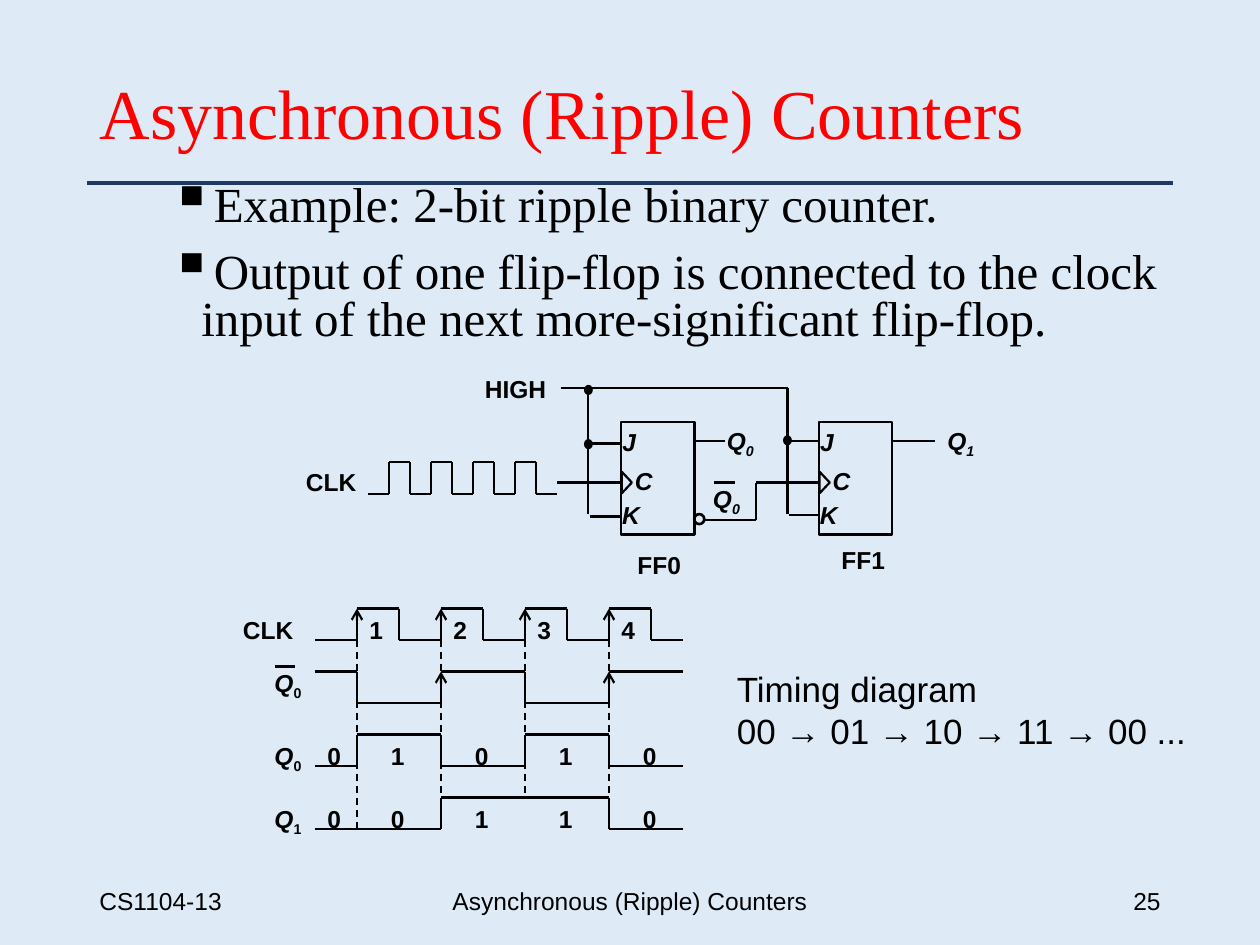
from itertools import groupby, pairwise

from lxml.etree import SubElement
from pptx import Presentation
from pptx.dml.color import RGBColor
from pptx.enum.dml import MSO_LINE
from pptx.enum.shapes import MSO_CONNECTOR, MSO_SHAPE
from pptx.enum.text import MSO_ANCHOR, MSO_AUTO_SIZE, PP_ALIGN
from pptx.oxml.ns import qn
from pptx.util import Inches, Pt

COLORS = {"background": "DEEBF7", "title": "FF0000", "rule": "203864", "ink": "000000"}
SANS, SERIF = "Arial", "Times New Roman"


def color(name):
    return RGBColor.from_string(COLORS[name])


def add_run(paragraph, text, size=14, font=SANS, ink="ink", bold=False, italic=False):
    run = paragraph.add_run()
    run.text = text
    run.font.size, run.font.name = Pt(size), font
    run.font.bold, run.font.italic = bold, italic
    run.font.color.rgb = color(ink)
    return run


def add_box(shapes, left, top, width, height, wrap=True):
    box = shapes.add_textbox(Inches(left), Inches(top), Inches(width), Inches(height))
    box.text_frame.word_wrap = wrap
    return box


def add_label(shapes, left, top, width, text, italic=False, subscript="", slanted=True, wrap=False):
    frame = add_box(shapes, left, top, width, 0.33, wrap).text_frame
    frame.auto_size = MSO_AUTO_SIZE.SHAPE_TO_FIT_TEXT
    paragraph = frame.paragraphs[0]
    add_run(paragraph, text, bold=True, italic=italic)
    if subscript:
        run = add_run(paragraph, subscript, bold=True, italic=slanted)
        run._r.get_or_add_rPr().set("baseline", "-25000")


def add_line(shapes, start, end, width=1.25, ink="ink", dashed=False, arrow=False):
    line = shapes.add_connector(MSO_CONNECTOR.STRAIGHT, *map(Inches, (*start, *end)))
    line.line.width = Pt(width)
    line.line.color.rgb = color(ink)
    if dashed:
        line.line.dash_style = MSO_LINE.DASH
    if arrow:
        SubElement(line.line._get_or_add_ln(), qn("a:tailEnd"), type="arrow")
    SubElement(line._element.spPr, qn("a:effectLst"))


def add_wire(shapes, *points):
    for start, end in pairwise(points):
        add_line(shapes, start, end)


def add_outline(shapes, kind, left, top, width, height, weight, filled=False):
    shape = shapes.add_shape(kind, *map(Inches, (left, top, width, height)))
    shape.shadow.inherit = False
    if filled:
        shape.fill.solid()
        shape.fill.fore_color.rgb = color("ink")
    else:
        shape.fill.background()
    shape.line.color.rgb = color("ink")
    shape.line.width = Pt(weight)
    return shape


def add_title(slide, left, top, width, height):
    title = slide.shapes.title
    title.left, title.top, title.width, title.height = map(Inches, (left, top, width, height))
    title.text_frame.vertical_anchor = MSO_ANCHOR.MIDDLE
    paragraph = title.text_frame.paragraphs[0]
    paragraph.alignment = PP_ALIGN.LEFT
    paragraph.line_spacing = 0.9
    add_run(paragraph, "Asynchronous (Ripple) Counters", 40, SERIF, "title")
    bottom = top + height
    add_line(slide.shapes, (left, bottom), (left + width, bottom), 2.25, "rule")


def add_bullets(slide, left, top, width, height):
    frame = add_box(slide.shapes, left, top, width, height).text_frame
    texts = (
        "Example: 2-bit ripple binary counter.",
        "Output of one flip-flop is connected to the clock input of the next more-significant flip-flop.",
    )
    for index, text in enumerate(texts):
        paragraph = frame.add_paragraph() if index else frame.paragraphs[0]
        properties = paragraph._p.get_or_add_pPr()
        properties.set("marL", str(Inches(0.25)))
        properties.set("indent", str(-Inches(0.25)))
        SubElement(properties, qn("a:buSzPct"), val="120000")
        SubElement(properties, qn("a:buChar"), char="▪")
        paragraph.line_spacing = 0.8
        if index:
            paragraph.space_before = Pt(11)
        add_run(paragraph, text, 28, SERIF)


def add_flip_flop(shapes, left, top, name, name_left, name_top):
    add_outline(shapes, MSO_SHAPE.RECTANGLE, left, top, 0.58, 0.89, 1.5)
    clock = add_outline(shapes, MSO_SHAPE.ISOSCELES_TRIANGLE, left - 0.04, top + 0.44, 0.17, 0.08, 1.25)
    clock.rotation = 90
    for letter, x, y, width in (("J", -0.09, -0.01, 0.31), ("C", 0.01, 0.3, 0.34), ("K", -0.09, 0.57, 0.34)):
        add_label(shapes, left + x, top + y, width, letter, italic=True)
    add_label(shapes, left + name_left, top + name_top, 0.55, name)


def add_circuit(slide, left, top):
    shapes = slide.shapes.add_group_shape().shapes

    def wire(*points):
        add_wire(shapes, *((left + x, top + y) for x, y in points))

    add_flip_flop(shapes, left + 2.6, top + 0.43, "FF0", 0.03, 0.97)
    add_flip_flop(shapes, left + 4.17, top + 0.43, "FF1", 0.08, 0.93)

    wire((2.12, 0.16), (3.92, 0.16), (3.92, 1.16))
    wire((2.34, 0.16), (2.34, 1.16))
    wire((2.37, 0.6), (2.6, 0.6))
    wire((2.35, 1.18), (2.61, 1.18))
    wire((3.92, 0.58), (4.18, 0.58))
    wire((3.93, 1.17), (4.16, 1.17))
    wire((3.18, 0.58), (3.42, 0.58))
    wire((4.75, 0.58), (5.09, 0.58))
    wire((3.26, 1.21), (3.67, 1.21), (3.67, 0.91), (4.17, 0.91))
    wire((2.09, 0.91), (2.59, 0.91))
    wire((3.34, 0.91), (3.5, 0.91))

    high, low, half = 0.75, 1.0, 1 / 6
    pulses = [(0.59, low)]
    for index in range(9):
        x, level = 0.59 + index * half, high if index % 2 else low
        pulses += [(x, level), (x + half, level)]
    wire(*pulses[1:])

    add_outline(shapes, MSO_SHAPE.OVAL, left + 3.18, top + 1.16, 0.08, 0.08, 1.5)
    for x, y in ((2.31, 0.14), (2.31, 0.57), (3.89, 0.54)):
        add_outline(shapes, MSO_SHAPE.OVAL, left + x, top + y, 0.06, 0.07, 0.75, filled=True)

    add_label(shapes, left + 1.42, top, 0.75, "HIGH", wrap=True)
    add_label(shapes, left, top + 0.74, 0.6, "CLK")
    for x, y, digit in ((3.34, 0.41, "0"), (5.09, 0.41, "1"), (3.23, 0.87, "0")):
        add_label(shapes, left + x, top + y, 0.42, "Q", italic=True, subscript=digit)


def add_waveform(shapes, left, top, levels, step, right, rising_arrows):
    height, position, previous = 0.25, 0, None
    for level, run in groupby(levels):
        start = left + position * step
        position += len(list(run))
        y = top if level == "1" else top + height
        if previous is not None:
            arrow = rising_arrows and level == "1"
            add_line(shapes, (start, previous), (start, y), arrow=arrow)
        add_line(shapes, (start, y), (min(left + position * step, right), y))
        previous = y


def add_timing_diagram(slide, left, top):
    shapes = slide.shapes.add_group_shape().shapes
    step, row, wave_left = 1 / 3, 0.5, left + 0.67
    edges = [wave_left + step * (1 + 2 * cycle) for cycle in range(4)]

    for index, x in enumerate(edges):
        bottom = top + (1.5 if index else 1.75)
        add_line(shapes, (x, top + 0.25), (x, bottom), 1, dashed=True)
        add_label(shapes, x, top, 0.31, str(index + 1))

    waves = (("010101010", True), ("100110011", True), ("011001100", False), ("000111100", False))
    for index, (levels, arrows) in enumerate(waves):
        add_waveform(shapes, wave_left, top + index * row, levels, step, left + 3.59, arrows)

    add_label(shapes, left, top, 0.6, "CLK")
    add_line(shapes, (left + 0.35, top + 0.46), (left + 0.51, top + 0.46))
    for y, digit in ((0.42, "0"), (1, "0"), (1.5, "1")):
        add_label(shapes, left + 0.25, top + y, 0.44, "Q", True, digit, slanted=False, wrap=True)

    digit_lefts = [wave_left] + [x + 0.17 for x in edges]
    for y, digits in ((1, "01010"), (1.5, "00110")):
        for x, digit in zip(digit_lefts, digits):
            add_label(shapes, x, top + y, 0.31, digit)


def add_caption(slide, left, top, width, height):
    frame = add_box(slide.shapes, left, top, width, height).text_frame
    add_run(frame.paragraphs[0], "Timing diagram", 20)
    add_run(frame.add_paragraph(), "00 → 01 → 10 → 11 → 00 ...", 20)


def add_footer(slide, top, height):
    parts = (
        (0.69, 2.25, "CS1104-13", PP_ALIGN.LEFT),
        (3.31, 3.38, "Asynchronous (Ripple) Counters", PP_ALIGN.CENTER),
        (7.06, 2.25, "25", PP_ALIGN.RIGHT),
    )
    for left, width, text, alignment in parts:
        frame = add_box(slide.shapes, left, top, width, height).text_frame
        frame.vertical_anchor = MSO_ANCHOR.MIDDLE
        frame.paragraphs[0].alignment = alignment
        add_run(frame.paragraphs[0], text)


def main():
    presentation = Presentation()
    presentation.slide_width, presentation.slide_height = Inches(10), Inches(7.5)
    slide = presentation.slides.add_slide(presentation.slide_layouts[5])
    slide.background.fill.solid()
    slide.background.fill.fore_color.rgb = color("background")
    add_title(slide, 0.69, 0.4, 8.62, 1.05)
    add_bullets(slide, 1.25, 1.42, 8.5, 1.5)
    add_circuit(slide, 2.33, 2.92)
    add_caption(slide, 5.75, 5.25, 3.83, 0.93)
    add_timing_diagram(slide, 1.83, 4.83)
    add_footer(slide, 6.95, 0.4)
    presentation.save("out.pptx")


if __name__ == "__main__":
    main()
